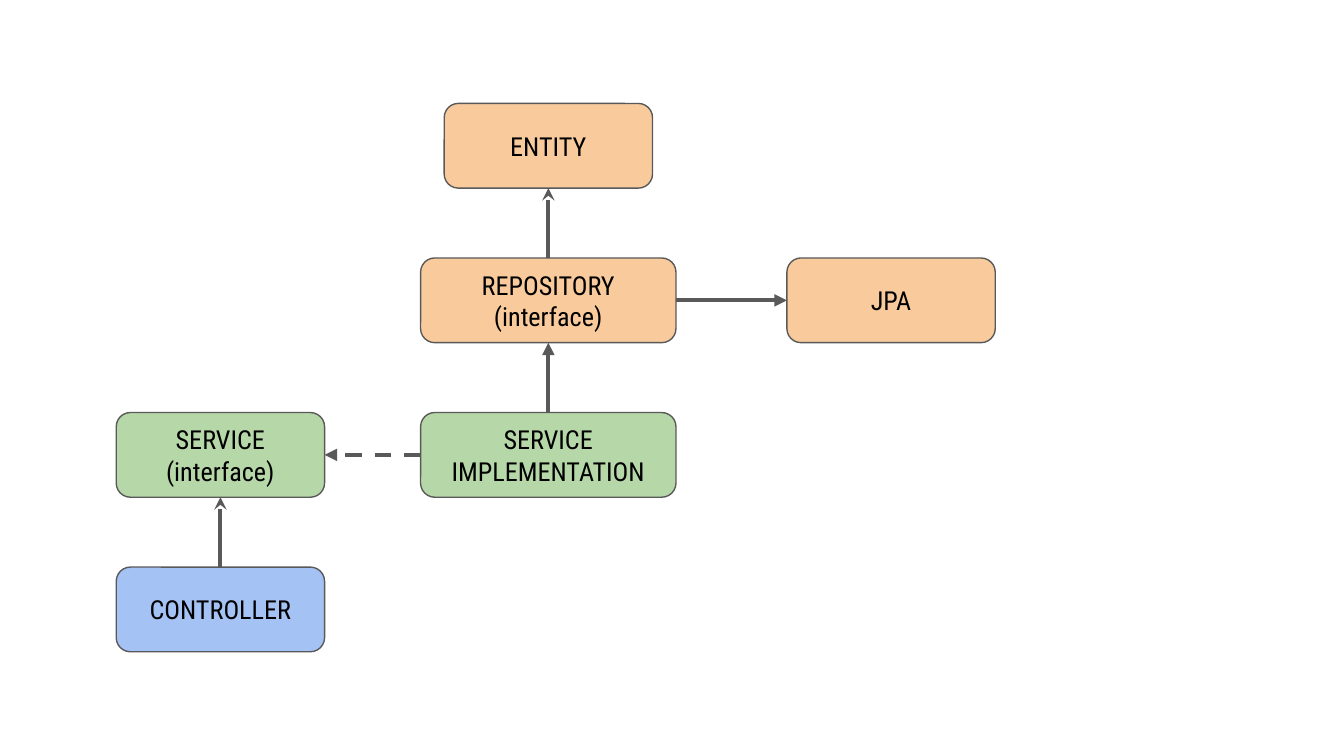
from pptx import Presentation
from pptx.dml.color import RGBColor
from pptx.enum.dml import MSO_LINE
from pptx.enum.shapes import MSO_CONNECTOR, MSO_SHAPE
from pptx.enum.text import MSO_ANCHOR, PP_ALIGN
from pptx.oxml.ns import qn
from pptx.util import Inches, Pt
from lxml.etree import SubElement

BLUE = RGBColor(0xA4, 0xC2, 0xF4)
GREEN = RGBColor(0xB6, 0xD7, 0xA8)
ORANGE = RGBColor(0xF9, 0xCB, 0x9C)
GRAY = RGBColor(0x59, 0x59, 0x59)
BLACK = RGBColor(0, 0, 0)
FONT = "Roboto Condensed"

SLIDE_WIDTH = 10
NARROW, WIDE, HEIGHT = 1.55, 1.9, 0.63
FIRST_TOP, ROW_STEP = 0.77, 1.15
COLUMN_CENTERS = [1.64, 4.08, 6.63]
TOP, LEFT, BOTTOM, RIGHT = range(4)

BOXES = {
    "controller": (["CONTROLLER"], 0, 3, NARROW, BLUE),
    "service": (["SERVICE", "(interface)"], 0, 2, NARROW, GREEN),
    "implementation": (["SERVICE IMPLEMENTATION"], 1, 2, WIDE, GREEN),
    "repository": (["REPOSITORY", "(interface)"], 1, 1, WIDE, ORANGE),
    "jpa": (["JPA"], 2, 1, NARROW, ORANGE),
    "entity": (["ENTITY"], 1, 0, NARROW, ORANGE),
}
ARROWS = [
    ("controller", TOP, "service", BOTTOM, "stealth", None),
    ("implementation", LEFT, "service", RIGHT, "triangle", MSO_LINE.DASH),
    ("implementation", TOP, "repository", BOTTOM, "triangle", None),
    ("repository", RIGHT, "jpa", LEFT, "triangle", None),
    ("repository", TOP, "entity", BOTTOM, "stealth", None),
]


def add_box(slide, lines, column, row, width, color):
    shape = slide.shapes.add_shape(
        MSO_SHAPE.ROUNDED_RECTANGLE,
        Inches(COLUMN_CENTERS[column] - width / 2),
        Inches(FIRST_TOP + row * ROW_STEP),
        Inches(width), Inches(HEIGHT))
    shape.shadow.inherit = False
    shape.fill.solid()
    shape.fill.fore_color.rgb = color
    shape.line.color.rgb = GRAY
    shape.line.width = Pt(0.75)
    frame = shape.text_frame
    frame.word_wrap = True
    frame.vertical_anchor = MSO_ANCHOR.MIDDLE
    frame.margin_left = frame.margin_right = Inches(0.1)
    frame.margin_top = frame.margin_bottom = Inches(0.1)
    for index, text in enumerate(lines):
        paragraph = frame.add_paragraph() if index else frame.paragraphs[0]
        paragraph.alignment = PP_ALIGN.CENTER
        run = paragraph.add_run()
        run.text = text
        run.font.name = FONT
        run.font.size = Pt(14)
        run.font.color.rgb = BLACK
    return shape


def add_arrow(slide, source, source_side, target, target_side, head, dash):
    connector = slide.shapes.add_connector(MSO_CONNECTOR.STRAIGHT, 0, 0, 0, 0)
    connector.begin_connect(source, source_side)
    connector.end_connect(target, target_side)
    connector.line.color.rgb = GRAY
    connector.line.width = Pt(2.25)
    if dash:
        connector.line.dash_style = dash
    properties = connector.element.spPr
    SubElement(properties.find(qn("a:ln")), qn("a:tailEnd"), type=head)
    SubElement(properties, qn("a:effectLst"))


def main():
    presentation = Presentation()
    presentation.slide_width = Inches(SLIDE_WIDTH)
    presentation.slide_height = Inches(SLIDE_WIDTH * 9 / 16)
    slide = presentation.slides.add_slide(presentation.slide_layouts[6])
    shapes = {name: add_box(slide, *box) for name, box in BOXES.items()}
    for source, source_side, target, target_side, head, dash in ARROWS:
        add_arrow(slide, shapes[source], source_side,
                  shapes[target], target_side, head, dash)
    presentation.save("out.pptx")


if __name__ == "__main__":
    main()
